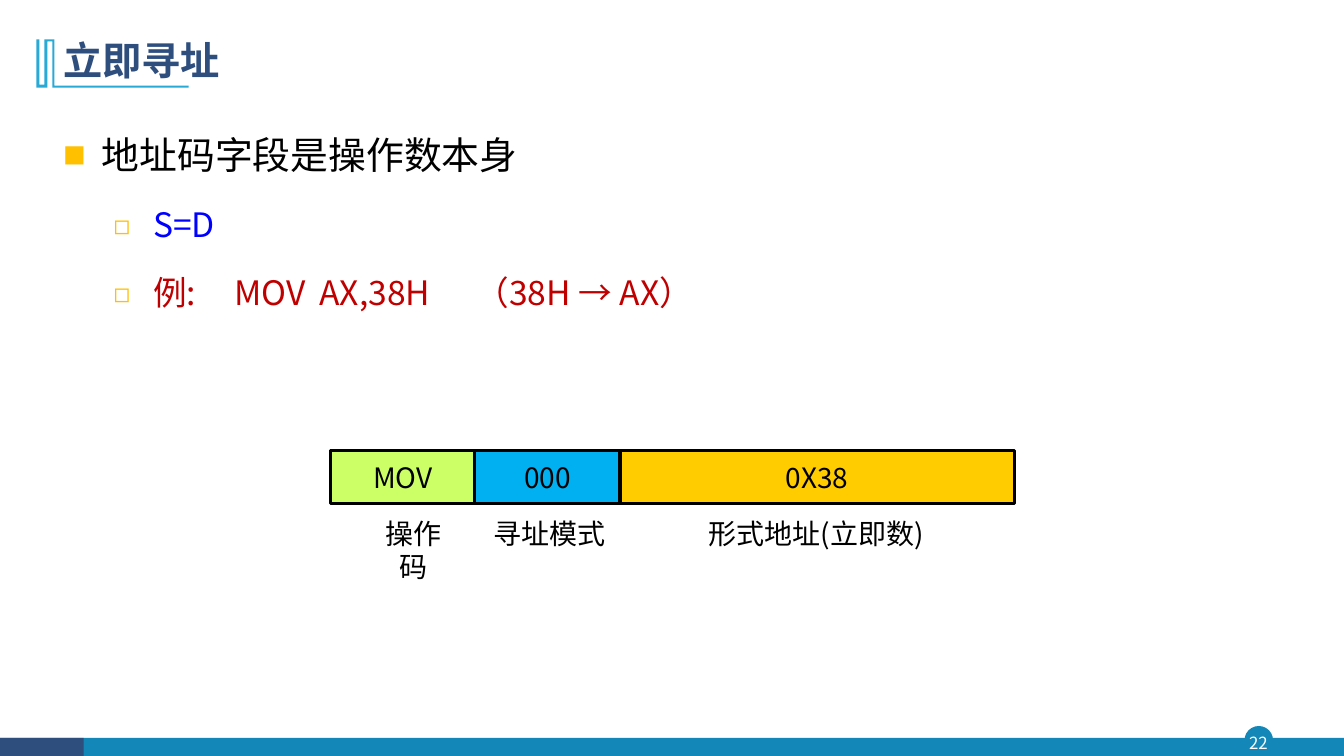
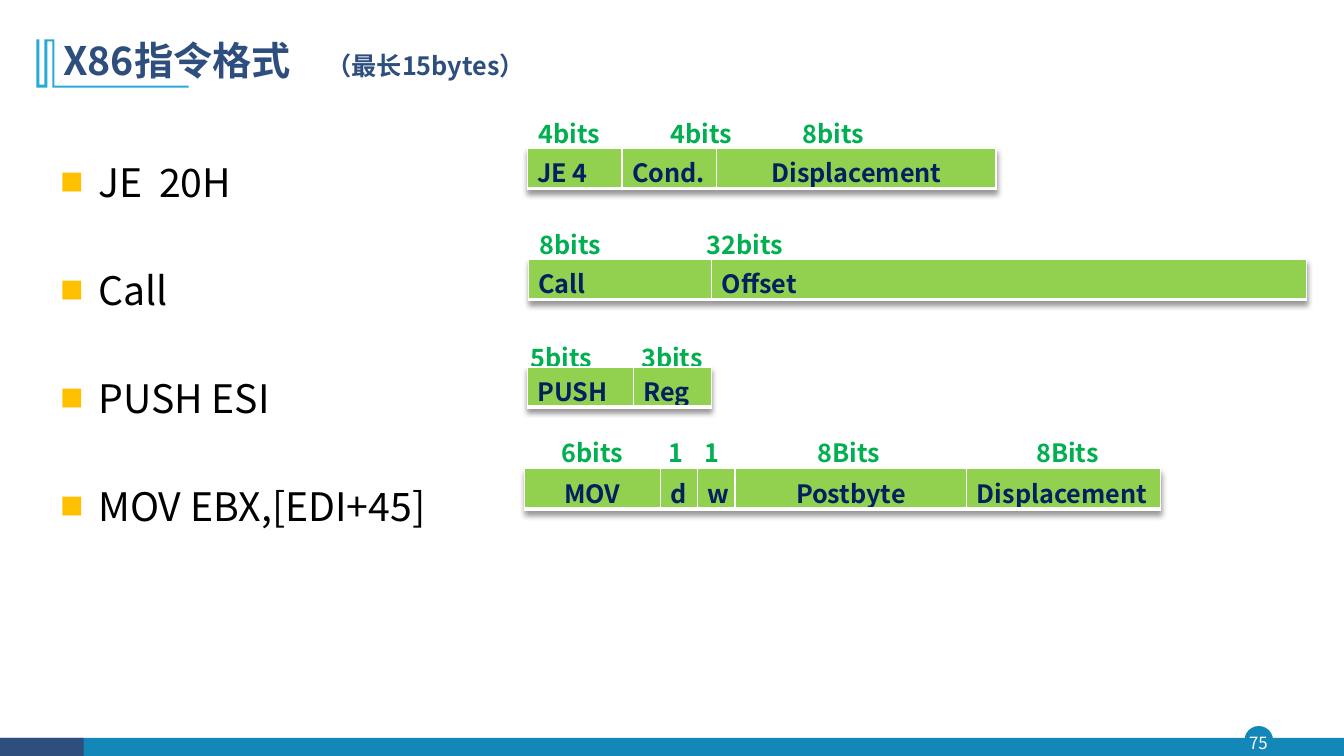
from dataclasses import dataclass
from itertools import accumulate

from lxml import etree
from pptx import Presentation
from pptx import util as u
from pptx.dml.color import RGBColor
from pptx.enum import shapes, text
from pptx.oxml import ns

PX = 9144  # EMU per px, 100 px to the inch
SLIDE_W, SLIDE_H = 1333, 750

WHITE = RGBColor(0xFF, 0xFF, 0xFF)
BLACK = RGBColor(0x00, 0x00, 0x00)
NAVY = RGBColor(0x2E, 0x4E, 0x7E)
TEAL = RGBColor(0x13, 0x87, 0xB7)
SKY = RGBColor(0x28, 0xA9, 0xD6)
AMBER = RGBColor(0xFF, 0xC0, 0x00)
BLUE = RGBColor(0x00, 0x00, 0xFF)
RED = RGBColor(0xC0, 0x00, 0x00)
LIME = RGBColor(0xCC, 0xFF, 0x66)
CYAN = RGBColor(0x00, 0xB0, 0xF0)
GOLD = RGBColor(0xFF, 0xCC, 0x00)
FIELD_GREEN = RGBColor(0x92, 0xD0, 0x50)
LABEL_GREEN = RGBColor(0x00, 0xB0, 0x50)
FIELD_TEXT = RGBColor(0x00, 0x20, 0x60)

SANS = "Noto Sans CJK SC"
TITLE_SANS = "Noto Sans CJK JP"
LEFT, CENTER, JUSTIFY = text.PP_ALIGN.LEFT, text.PP_ALIGN.CENTER, text.PP_ALIGN.JUSTIFY
TOP, MIDDLE = text.MSO_ANCHOR.TOP, text.MSO_ANCHOR.MIDDLE

TITLE_MARK = [(54, 39), (54, 85), (187, 85), (187, 87), (52, 87), (52, 41), (47, 41), (47, 87),
              (36, 87), (36, 39), (39, 39), (39, 84), (44, 84), (44, 39)]

Box = tuple[int, int, int, int]


@dataclass(frozen=True)
class Run:
    text: str
    size: int
    color: RGBColor = BLACK
    bold: bool = False
    font: str = SANS


@dataclass(frozen=True)
class Bullet:
    char: str
    margin: int
    hang: int
    percent: int


@dataclass(frozen=True)
class Para:
    runs: tuple[Run, ...]
    align: text.PP_ALIGN = LEFT
    spacing: float = 1.0
    before: int = 0
    bullet: Bullet | None = None
    tabs: tuple[int, ...] = ()
    margin: int = 0


@dataclass(frozen=True)
class Cell:
    text: str
    width: int
    align: text.PP_ALIGN = LEFT
    margin: int = 0


@dataclass(frozen=True)
class Strip:
    """A one-row table: bit widths (labels) or instruction fields."""
    left: int
    top: int
    cells: tuple[Cell, ...]
    is_label: bool = False


SQUARE = Bullet("■", 38, 38, 60)
HOLLOW = Bullet("◻", 89, 39, 80)


def emu(*lengths: int) -> list[u.Emu]:
    return [u.Emu(n * PX) for n in lengths]


def sub(parent, tag: str, **attrs):
    return etree.SubElement(parent, ns.qn(tag), {k: str(v) for k, v in attrs.items()})


def write_para(p, para: Para) -> None:
    pPr = p._p.get_or_add_pPr()
    b = para.bullet
    if b:
        pPr.set("marL", str(b.margin * PX))
        pPr.set("indent", str(-b.hang * PX))
    elif para.margin:
        pPr.set("marL", str(para.margin * PX))
    p.alignment, p.line_spacing, p.space_before = para.align, para.spacing, u.Pt(para.before)
    if b:
        sub(sub(pPr, "a:buClr"), "a:srgbClr", val=AMBER)
        sub(pPr, "a:buSzPct", val=b.percent * 1000)
        sub(pPr, "a:buFont", typeface=SANS)
        sub(pPr, "a:buChar", char=b.char)
    if para.tabs:
        tab_list = sub(pPr, "a:tabLst")
        for pos in para.tabs:
            sub(tab_list, "a:tab", pos=pos * PX, algn="l")
    for run in para.runs:
        r = p.add_run()
        r.text = run.text
        r.font.size, r.font.bold, r.font.name = u.Pt(run.size), run.bold, run.font
        r.font.color.rgb = run.color
        sub(r._r.get_or_add_rPr(), "a:ea", typeface=run.font)


def write_frame(tf, paras: list[Para], anchor=TOP, wrap: bool = True) -> None:
    tf.word_wrap, tf.vertical_anchor = wrap, anchor
    for i, para in enumerate(paras):
        write_para(tf.add_paragraph() if i else tf.paragraphs[0], para)


def add_text(s, box: Box, paras: list[Para], anchor=TOP, wrap: bool = True, inset: bool = True) -> None:
    tf = s.shapes.add_textbox(*emu(*box)).text_frame
    if not inset:
        tf.margin_left = tf.margin_top = tf.margin_right = tf.margin_bottom = 0
    write_frame(tf, paras, anchor, wrap)


def paint(sp, fill: RGBColor, line: RGBColor | None = None, weight: float = 1) -> None:
    sp.shadow.inherit = False
    sp.fill.solid()
    sp.fill.fore_color.rgb = fill
    if line is None:
        sp.line.fill.background()
    else:
        sp.line.color.rgb, sp.line.width = line, u.Pt(weight)


def add_shape(s, kind: shapes.MSO_SHAPE, box: Box, fill: RGBColor, line: RGBColor | None = None,
              weight: float = 1):
    sp = s.shapes.add_shape(kind, *emu(*box))
    paint(sp, fill, line, weight)
    return sp


def add_slide(prs, number: int, title: Para):
    """Add a blank slide with the shared band, page number and title."""
    s = prs.slides.add_slide(prs.slide_layouts[6])
    add_shape(s, shapes.MSO_SHAPE.OVAL, (1235, 721, 27, 27), TEAL, TEAL)
    add_shape(s, shapes.MSO_SHAPE.RECTANGLE, (0, 732, SLIDE_W, 18), TEAL)
    add_shape(s, shapes.MSO_SHAPE.RECTANGLE, (0, 732, 83, 18), NAVY)
    add_text(s, (1232, 721, 32, 31), [Para((Run(str(number), 12, WHITE),), CENTER)], MIDDLE, inset=False)
    mark = s.shapes.build_freeform(*TITLE_MARK[0], scale=PX)
    mark.add_line_segments(TITLE_MARK[1:], close=True)
    paint(mark.convert_to_shape(), SKY)
    add_text(s, (53, 28, 1150, 68), [title], MIDDLE)
    return s


def style_cell(cell, fill: RGBColor) -> None:
    """Fill a cell and give it white borders, thicker at the bottom."""
    tcPr = cell._tc.get_or_add_tcPr()
    for side, weight in (("L", 1), ("R", 1), ("T", 1), ("B", 3)):
        ln = sub(tcPr, f"a:ln{side}", w=u.Pt(weight))
        sub(sub(ln, "a:solidFill"), "a:srgbClr", val=WHITE)
    cell.fill.solid()
    cell.fill.fore_color.rgb = fill


def add_table_shadow(table) -> None:
    tblPr = table._tbl.tblPr
    effects = etree.Element(ns.qn("a:effectLst"))
    shadow = sub(effects, "a:outerShdw", blurRad=50800, dist=38100, dir=5400000, algn="t", rotWithShape=0)
    sub(sub(shadow, "a:prstClr", val="black"), "a:alpha", val=40000)
    tblPr.insert(0, effects)


def add_strip(s, strip: Strip) -> None:
    width = sum(c.width for c in strip.cells)
    box = emu(strip.left, strip.top, width, 40)
    table = s.shapes.add_table(1, len(strip.cells), *box).table
    table.first_row = table.horz_banding = False
    if not strip.is_label:
        add_table_shadow(table)
    color = LABEL_GREEN if strip.is_label else FIELD_TEXT
    for i, item in enumerate(strip.cells):
        table.columns[i].width = u.Emu(item.width * PX)
        cell = table.cell(0, i)
        style_cell(cell, WHITE if strip.is_label else FIELD_GREEN)
        write_para(cell.text_frame.paragraphs[0],
                   Para((Run(item.text, 18, color, True),), item.align, margin=item.margin))


def immediate_addressing(prs) -> None:
    s = add_slide(prs, 22, Para((Run("立即寻址", 28, NAVY, True, TITLE_SANS),), spacing=0.9))
    add_text(s, (53, 103, 1150, 238), [
        Para((Run("地址码字段是操作数本身", 27),), JUSTIFY, 1.5, bullet=SQUARE),
        Para((Run("S=D", 24, BLUE),), JUSTIFY, 1.5, 5, HOLLOW),
        Para((Run("例:\tMOV\tAX,38H\t（38H → AX）", 24, RED),), JUSTIFY, 1.5, 5, HOLLOW, (170, 254, 409)),
    ])
    fields = [("MOV", 143, LIME), ("000", 144, CYAN), ("0X38", 391, GOLD)]
    lefts = accumulate((width for _, width, _ in fields), initial=328)
    for left, (name, width, fill) in zip(lefts, fields):
        sp = add_shape(s, shapes.MSO_SHAPE.RECTANGLE, (left, 447, width, 53), fill, BLACK, 2.25)
        write_frame(sp.text_frame, [Para((Run(name, 20),), CENTER)], MIDDLE, wrap=False)
    for name, left, width, align in (("操作码", 359, 103, CENTER), ("寻址模式", 479, 132, CENTER),
                                     ("形式地址(立即数)", 693, 250, LEFT)):
        add_text(s, (left, 507, width, 44), [Para((Run(name, 20),), align)], wrap=align == LEFT)


STRIPS = [
    Strip(524, 108, (Cell("4bits", 131), Cell("4bits", 131), Cell("8bits", 131)), True),
    Strip(523, 147, (Cell("JE 4", 94), Cell("Cond.", 94), Cell("Displacement", 277, CENTER))),
    Strip(525, 218, (Cell("8bits", 93), Cell("32bits", 575, margin=73)), True),
    Strip(524, 257, (Cell("Call", 182), Cell("Offset", 590))),
    Strip(516, 331, (Cell("5bits", 110), Cell("3bits", 110)), True),
    Strip(523, 364, (Cell("PUSH", 105), Cell("Reg", 78))),
    Strip(520, 465, (Cell("MOV", 135, CENTER), Cell("d", 37, CENTER), Cell("w", 37, CENTER),
                     Cell("Postbyte", 230, CENTER), Cell("Displacement", 192))),
]


def x86_formats(prs) -> None:
    s = add_slide(prs, 75, Para((Run("X86指令格式\t", 28, NAVY, True), Run("（最长15bytes）", 18, NAVY, True)),
                                spacing=0.9, tabs=(261,)))
    examples = ("JE\t20H", "Call", "PUSH ESI", "MOV EBX,[EDI+45]")
    add_text(s, (50, 105, 434, 495), [
        Para((Run(line, 28),), JUSTIFY, 2, 10 if i else 0, SQUARE, (98,) if "\t" in line else ())
        for i, line in enumerate(examples)])
    for strip in STRIPS:
        add_strip(s, strip)
    for name, left, width in (("6bits", 547, 87), ("1", 653, 43), ("1", 689, 43),
                              ("8Bits", 801, 108), ("8Bits", 1018, 108)):
        add_text(s, (left, 429, width, 40), [Para((Run(name, 18, LABEL_GREEN, True),))])


def main() -> None:
    prs = Presentation()
    prs.slide_width, prs.slide_height = emu(SLIDE_W, SLIDE_H)
    immediate_addressing(prs)
    x86_formats(prs)
    prs.save("out.pptx")


if __name__ == "__main__":
    main()
